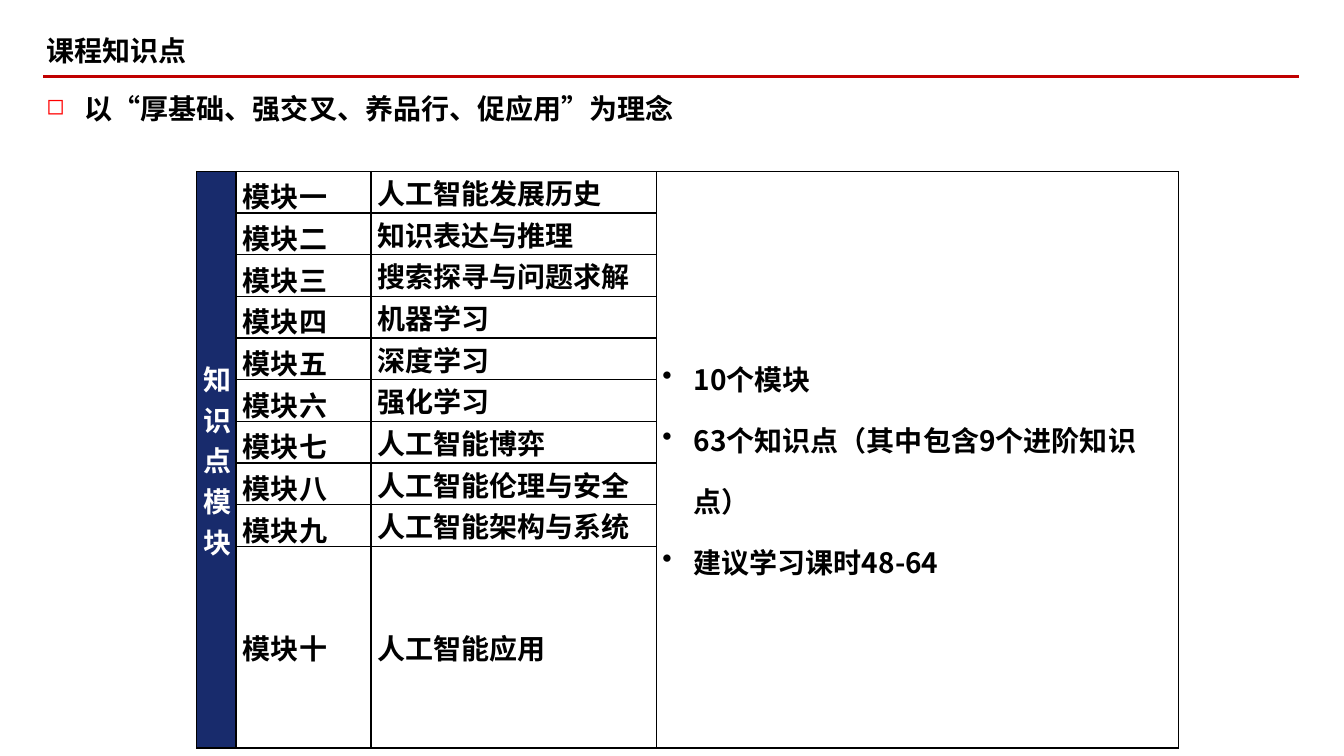
from pptx import Presentation
from pptx.dml.color import RGBColor
from pptx.enum.shapes import MSO_CONNECTOR as Link, MSO_SHAPE as Shape
from pptx.enum.text import MSO_ANCHOR as Anchor, MSO_AUTO_SIZE as Fit, PP_ALIGN as Align
from pptx.oxml.ns import qn
from pptx.util import Inches, Pt
from lxml.etree import SubElement as Sub

TITLE = "课程知识点"
IDEA = "以“厚基础、强交叉、养品行、促应用”为理念"
SIDE = "知识点模块"
TOPICS = [
    ("模块一", "人工智能发展历史"),
    ("模块二", "知识表达与推理"),
    ("模块三", "搜索探寻与问题求解"),
    ("模块四", "机器学习"),
    ("模块五", "深度学习"),
    ("模块六", "强化学习"),
    ("模块七", "人工智能博弈"),
    ("模块八", "人工智能伦理与安全"),
    ("模块九", "人工智能架构与系统"),
    ("模块十", "人工智能应用"),
]
NOTES = ["10个模块", "63个知识点（其中包含9个进阶知识点）", "建议学习课时48-64"]

FONT = "Noto Sans CJK SC"
BLACK, WHITE, NAVY, RED = "000000", "FFFFFF", "182B6C", "C00000"
LEFT = 0.46
COLS = [0.39, 1.34, 2.83, 5.18]
ROW = 0.38
WIDE, SLIM = (0.07, 0.04), (0.06, 0)


def color(code):
    return RGBColor.from_string(code)


def paint(item, code):
    item.fill.solid()
    item.fill.fore_color.rgb = color(code)


def inset(item, side, top):
    item.margin_left = item.margin_right = Inches(side)
    item.margin_top = item.margin_bottom = Inches(top)


def write(par, text, code=BLACK):
    run = par.add_run()
    run.text = text
    font = run.font
    font.name, font.size, font.bold = FONT, Pt(20), True
    font.color.rgb = color(code)
    Sub(font._element, qn("a:ea"), typeface=FONT)


def bullet(par, mark, indent, code=None, size=None):
    props = par._p.get_or_add_pPr()
    props.set("marL", str(Inches(indent)))
    props.set("indent", str(-Inches(indent)))
    if code:
        Sub(Sub(props, qn("a:buClr")), qn("a:srgbClr"), val=code)
    if size:
        Sub(props, qn("a:buSzPct"), val=str(size * 1000))
    Sub(props, qn("a:buChar"), char=mark)


def edge(cell):
    """Draw a thin black line on all four sides of a cell."""
    props = cell._tc.get_or_add_tcPr()
    for side in ("lnL", "lnR", "lnT", "lnB"):
        line = Sub(props, qn("a:" + side), w=str(Pt(1)))
        Sub(Sub(line, qn("a:solidFill")), qn("a:srgbClr"), val=BLACK)


def dress(cell, gap, code=WHITE):
    """Set a cell's lines, fill, margins and anchor; return its first paragraph."""
    edge(cell)
    paint(cell, code)
    inset(cell, *gap)
    cell.vertical_anchor = Anchor.MIDDLE
    return cell.text_frame.paragraphs[0]


def open_text(shape):
    frame = shape.text_frame
    inset(frame, 0, 0)
    frame.word_wrap = True
    frame.auto_size = Fit.SHAPE_TO_FIT_TEXT
    frame.vertical_anchor = Anchor.TOP
    par = frame.paragraphs[0]
    par.alignment = Align.LEFT
    return par


def add_head(shapes):
    box = shapes.add_textbox(Inches(LEFT), Inches(0.91), Inches(6.36), Inches(0.34))
    par = open_text(box)
    bullet(par, "◻", 0.38, "FF0000", 80)
    write(par, IDEA)

    head = shapes.add_shape(Shape.RECTANGLE, Inches(LEFT), Inches(0.33),
                            Inches(1.5), Inches(0.34))
    head.shadow.inherit = False
    paint(head, WHITE)
    head.line.fill.background()
    par = open_text(head)
    tabs = Sub(par._p.get_or_add_pPr(), qn("a:tabLst"))
    Sub(tabs, qn("a:tab"), pos=str(Inches(0.58)), algn="l")
    write(par, TITLE)


def add_grid(shapes):
    count = len(TOPICS)
    frame = shapes.add_table(count, len(COLS), Inches(1.95), Inches(1.7),
                             Inches(sum(COLS)), Inches(ROW * count))
    grid = frame.table
    grid.first_row = grid.horz_banding = False
    for col, width in zip(grid.columns, COLS):
        col.width = Inches(width)
    for row in grid.rows:
        row.height = Inches(ROW)
    frame.height = Inches(4.08)

    for i, (name, topic) in enumerate(TOPICS):
        side = dress(grid.cell(i, 0), WIDE, NAVY)
        write(dress(grid.cell(i, 1), WIDE), name)
        write(dress(grid.cell(i, 2), SLIM), topic)
        note = dress(grid.cell(i, 3), SLIM)
        if i == 0:
            side.alignment = Align.CENTER
            write(side, SIDE, WHITE)
            body = grid.cell(0, 3).text_frame
            for j, text in enumerate(NOTES):
                par = body.add_paragraph() if j else note
                bullet(par, "•", 0.31)
                par.line_spacing = 1.5
                write(par, text)
    for col in (0, 3):
        grid.cell(0, col).merge(grid.cell(count - 1, col))


def add_rule(shapes):
    rule = shapes.add_connector(Link.STRAIGHT, Inches(0.43), Inches(0.76),
                                Inches(12.88), Inches(0.76))
    rule.line.color.rgb = color(RED)
    rule.line.width = Pt(2)
    Sub(rule._element.spPr, qn("a:effectLst"))


def main():
    deck = Presentation()
    deck.slide_width, deck.slide_height = Inches(13.33), Inches(7.5)
    shapes = deck.slides.add_slide(deck.slide_layouts[6]).shapes
    add_head(shapes)
    add_grid(shapes)
    add_rule(shapes)
    deck.save("out.pptx")


if __name__ == "__main__":
    main()
